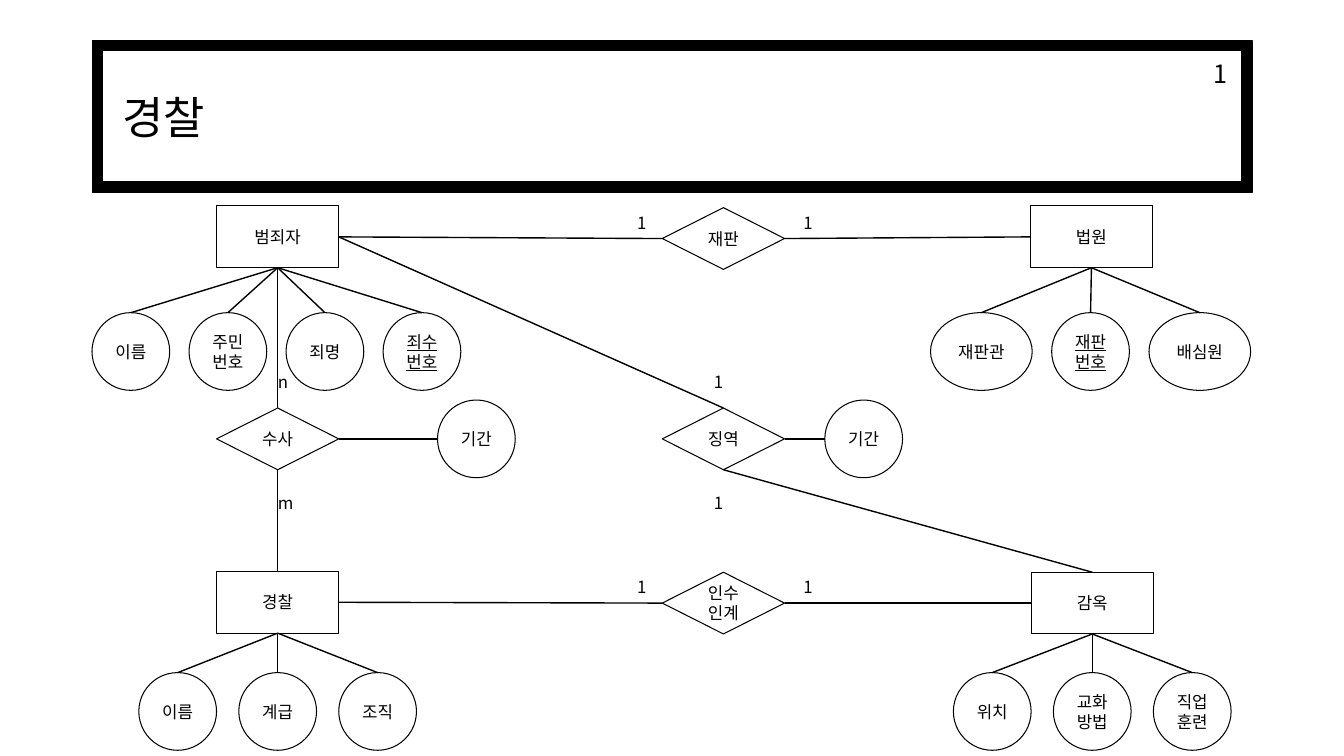
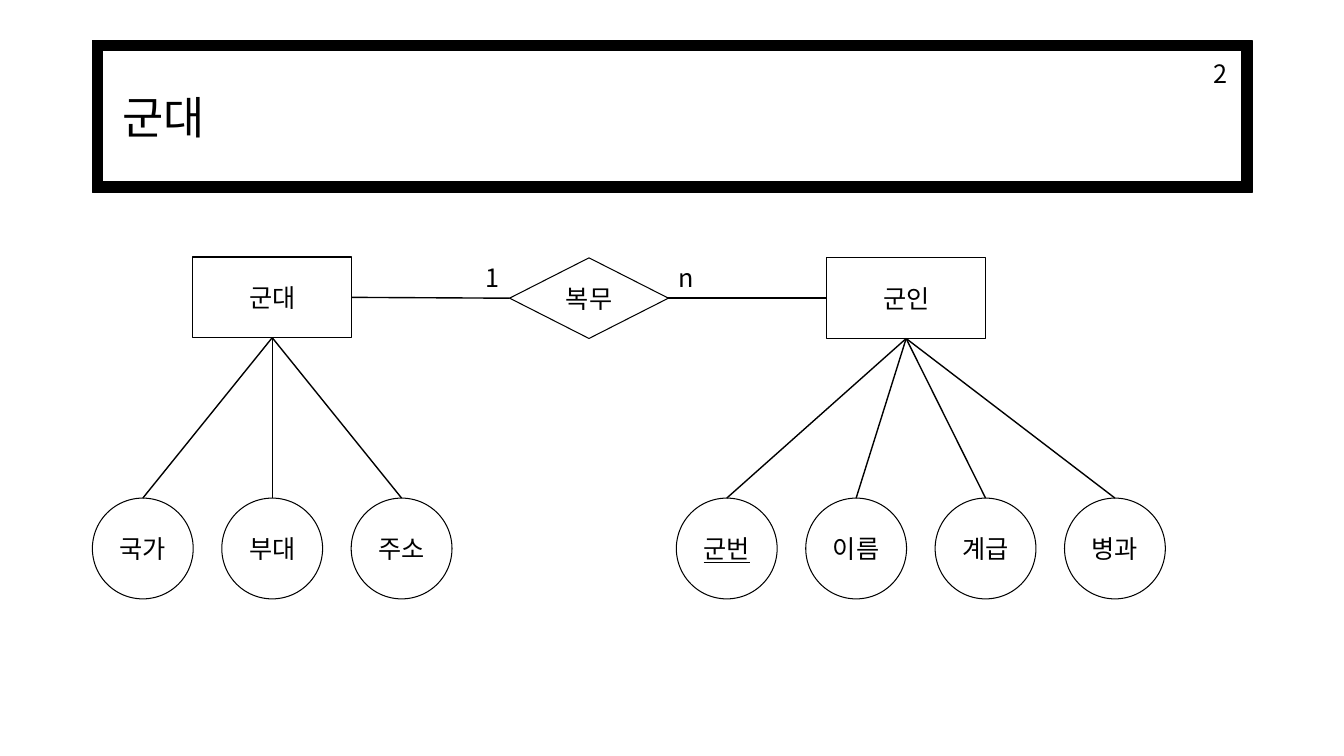
from lxml import etree
from pptx import Presentation, util as u
from pptx.dml.color import RGBColor
from pptx.enum import shapes, text
from pptx.oxml import ns

BLACK = RGBColor(0x00, 0x00, 0x00)
FONT = "Noto Sans CJK KR"
COLS, ROWS = 160, 90  # square grid cells
KIND = shapes.MSO_SHAPE
TOP, LEFT, BOTTOM, RIGHT = range(4)


class Board:
    """Style and current slide; all lengths are grid cells."""

    def __init__(self):
        self.deck = Presentation()
        self.deck.slide_width = u.Inches(13.33)
        self.deck.slide_height = u.Inches(7.5)
        self.count = 0

    def cell(self, *nums):
        return [round(n * self.deck.slide_height / ROWS) for n in nums]

    def style(self, frame, words, size, align, under=False):
        frame.text = words
        for para in frame.paragraphs:
            para.alignment = align
            for run in para.runs:
                font = run.font
                font.size, font.name = u.Pt(size), FONT
                font.color.rgb = BLACK
                if under:
                    font.underline = True
                props = run._r.get_or_add_rPr()
                etree.SubElement(props, ns.qn("a:ea"), typeface=FONT)

    def page(self, title, size, box, ring):
        """Start a slide; size, box and ring set its diagram's scale."""
        self.slide = self.deck.slides.add_slide(self.deck.slide_layouts[6])
        self.count += 1
        self.size, self.box, self.ring = size, box, ring
        band = self.slide.shapes.add_shape(
            KIND.FRAME, *self.cell(11, 4.8, 138, 18.1))
        band.adjustments[0] = 0.067
        band.shadow.inherit = False
        band.fill.solid()
        band.fill.fore_color.rgb = BLACK
        band.line.color.rgb = BLACK
        band.line.width = u.Pt(1)
        frame = band.text_frame
        frame.margin_left = self.cell(2.4)[0]
        frame.vertical_anchor = text.MSO_ANCHOR.MIDDLE
        self.style(frame, title, 32, text.PP_ALIGN.LEFT)
        self.label(str(self.count), 143.3, 6.4, 18, wrap=False)

    def label(self, words, left, top, size=None, wrap=True):
        size = size or self.size
        wide = 4 if words == "m" else size / 9 + 2
        note = self.slide.shapes.add_textbox(
            *self.cell(left, top, wide, size / 5 + 1.2))
        frame = note.text_frame
        frame.word_wrap = wrap
        frame.auto_size = text.MSO_AUTO_SIZE.SHAPE_TO_FIT_TEXT
        self.style(frame, words, size, text.PP_ALIGN.LEFT)

    def node(self, kind, words, x, y, wide, high, under=False):
        """Outlined shape centred on x, y."""
        node = self.slide.shapes.add_shape(
            kind, *self.cell(x - wide / 2, y - high / 2, wide, high))
        node.shadow.inherit = False
        node.fill.background()
        node.line.color.rgb = BLACK
        node.line.width = u.Pt(0.75)
        frame = node.text_frame
        frame.word_wrap = True
        frame.vertical_anchor = text.MSO_ANCHOR.MIDDLE
        self.style(frame, words, self.size, text.PP_ALIGN.CENTER, under)
        return node

    def thing(self, words, x, y):
        return self.node(KIND.FLOWCHART_PROCESS, words, x, y, *self.box)

    def bond(self, words, x, y):
        return self.node(KIND.FLOWCHART_DECISION, words, x, y, *self.box)

    def trait(self, words, x, y, wide=None, under=False):
        return self.node(KIND.FLOWCHART_CONNECTOR, words, x, y,
                         wide or self.ring, self.ring, under)

    def link(self, start, side, end, goal=None):
        """Join two sides; with no goal, stop at the left edge of end."""
        line = self.slide.shapes.add_connector(
            shapes.MSO_CONNECTOR.STRAIGHT, 0, 0,
            end.left, end.top + end.height // 2)
        line.begin_connect(start, side)
        if goal is not None:
            line.end_connect(end, goal)
        line.line.color.rgb = BLACK
        line.line.width = u.Pt(1)
        etree.SubElement(line._element.spPr, ns.qn("a:effectLst"))

    def fan(self, owner, names, mid, y, step, key=None, wide=None):
        """Row of traits spread evenly around mid, joined to their owner."""
        for i, name in enumerate(names):
            x = mid + step * (i - (len(names) - 1) / 2)
            size = wide if len(name) == 3 else None
            ring = self.trait(name, x, y, size, name == key)
            self.link(owner, BOTTOM, ring, TOP)


def police(board):
    board.page("경찰", 12, (14.55, 7.35), 9.25)
    west, mid, east = 33.05, 86.1, 130

    # Entities and relations
    crook = board.thing("범죄자", west, 28.2)
    court = board.thing("법원", east - 0.1, 28.2)
    cop = board.thing("경찰", west, 71.7)
    jail = board.thing("감옥", east, 71.8)
    trial = board.bond("재판", mid, 28.4)
    probe = board.bond("수사", west, 52.25)
    term = board.bond("징역", mid, 52.25)
    pass_on = board.bond("인수인계", mid, 71.8)
    for one, side, two, goal in [
            (crook, RIGHT, trial, LEFT), (trial, RIGHT, court, LEFT),
            (cop, RIGHT, pass_on, LEFT), (pass_on, RIGHT, jail, LEFT),
            (crook, BOTTOM, probe, TOP), (probe, BOTTOM, cop, TOP),
            (crook, RIGHT, term, TOP), (term, BOTTOM, jail, TOP)]:
        board.link(one, side, two, goal)

    # Attributes
    high, low = 41.85, 84.7
    board.fan(crook, ["이름", "주민번호", "죄명", "죄수번호"],
              32.9, high, 11.55, "죄수번호")
    board.fan(court, ["재판관", "재판번호", "배심원"],
              129.8, high, 13, "재판번호", 12.1)
    board.fan(cop, ["이름", "계급", "조직"], west, low, 11.9)
    board.fan(jail, ["위치", "교화방법", "직업\n훈련"], east, low, 11.9)
    for owner, x in [(probe, 56.7), (term, 102.8)]:
        board.link(owner, RIGHT, board.trait("기간", x, 52.25))

    # Cardinalities
    for top in (24.7, 68.05):
        for left in (74.65, 94.45):
            board.label("1", left, top)
    for left, pair in [(31.9, "nm"), (83.8, "11")]:
        for words, top in zip(pair, (43.7, 58.1)):
            board.label(words, left, top)


def army(board):
    board.page("군대", 18, (18.9, 9.6), 12)

    # Entities and relation
    force = board.thing("군대", 32.4, 35.4)
    serve = board.bond("복무", 70.1, 35.5)
    troop = board.thing("군인", 107.85, 35.5)
    board.link(force, RIGHT, serve, LEFT)
    board.link(serve, RIGHT, troop, LEFT)

    # Attributes
    low, step = 65.3, 15.4
    board.fan(force, ["국가", "부대", "주소"], 32.4, low, step)
    board.fan(troop, ["군번", "이름", "계급", "병과"],
              109.6, low, step, "군번")

    # Cardinalities
    board.label("1", 56.65, 30.7)
    board.label("n", 79.6, 30.7)


def main():
    board = Board()
    police(board)
    army(board)
    board.deck.save("out.pptx")


if __name__ == "__main__":
    main()
